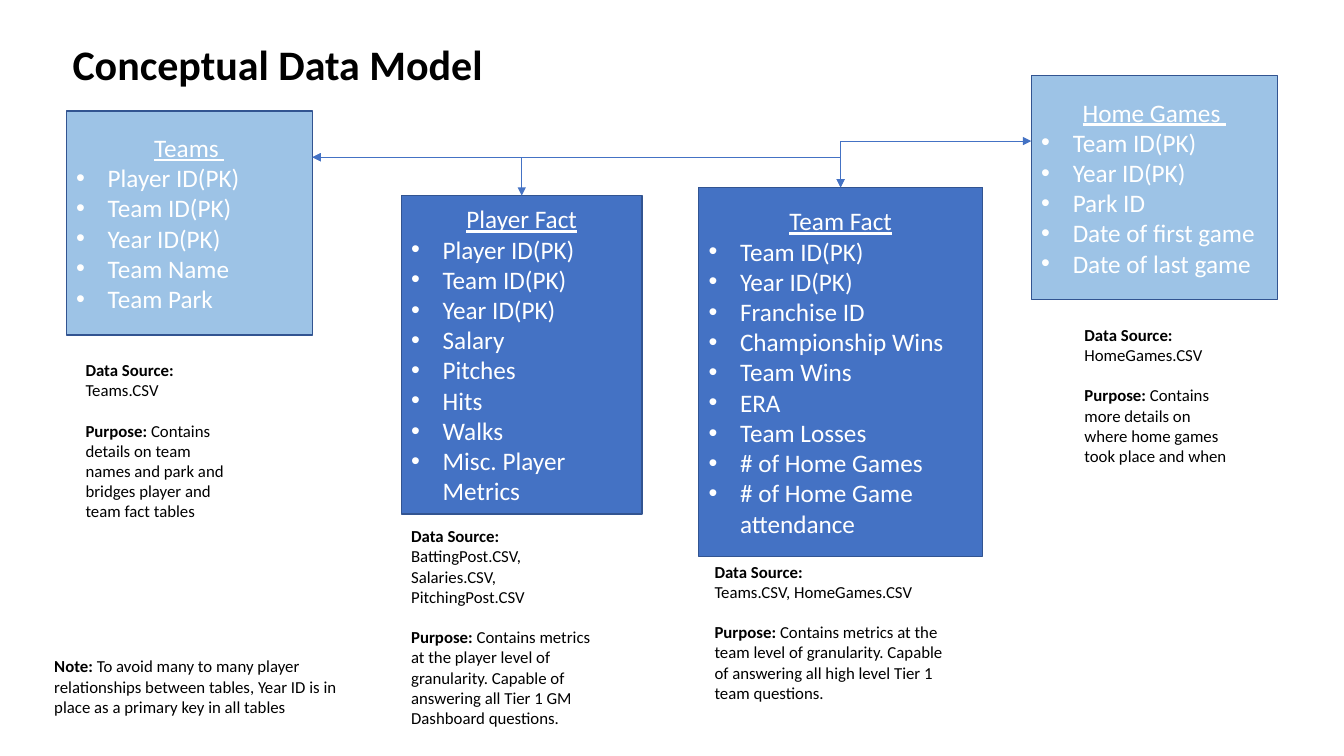
import pptx
import pptx.util
import pptx.dml.color
import pptx.enum.shapes
import pptx.enum.text
import pptx.oxml
import pptx.oxml.ns

Pt = pptx.util.Pt
RGBColor = pptx.dml.color.RGBColor
ALIGN = pptx.enum.text.PP_ALIGN
ANCHOR = pptx.enum.text.MSO_ANCHOR
SHAPE = pptx.enum.shapes.MSO_SHAPE
ELBOW = pptx.enum.shapes.MSO_CONNECTOR.ELBOW

FACT_BLUE = RGBColor(0x44, 0x72, 0xC4)
DIMENSION_BLUE = RGBColor(0x9D, 0xC3, 0xE6)
OUTLINE_BLUE = RGBColor(0x32, 0x54, 0x91)
WHITE = RGBColor(0xFF, 0xFF, 0xFF)
BLACK = RGBColor(0, 0, 0)
INDENT = Pt(22.5)


def add_run(paragraph, text, color, **formats):
    """Append a Calibri run with the given colour and font settings."""
    run = paragraph.add_run()
    run.text = text
    run.font.color.rgb = color
    for name, value in {"name": "Calibri", **formats}.items():
        setattr(run.font, name, value)


def add_xml(parent, tag, **attributes):
    """Append a DrawingML element to the parent."""
    element = pptx.oxml.parse_xml(f"<a:{tag} {pptx.oxml.ns.nsdecls('a')}/>")
    for name, value in attributes.items():
        element.set(name, value)
    parent.append(element)


presentation = pptx.Presentation()
presentation.slide_width = Pt(960)
presentation.slide_height = Pt(540)
slide = presentation.slides.add_slide(presentation.slide_layouts[5])

# Title
title = slide.shapes.title
title_place = {"left": 44.6, "top": 8.6, "width": 828, "height": 78.5}
for name, value in title_place.items():
    setattr(title, name, Pt(value))
title.text_frame.vertical_anchor = ANCHOR.MIDDLE
title_paragraph = title.text_frame.paragraphs[0]
title_paragraph.alignment = ALIGN.LEFT
title_paragraph.line_spacing = 0.9
add_run(title_paragraph, "Conceptual Data Model", BLACK, size=Pt(30), bold=True)

# Entity boxes: name, fill, (left, top, width, height), fields
entities = [
    ("Player Fact", FACT_BLUE, (286.6, 139.7, 172.1, 227.5),
     ["Player ID(PK)", "Team ID(PK)", "Year ID(PK)", "Salary", "Pitches",
      "Hits", "Walks", "Misc. Player Metrics"]),
    ("Team Fact", FACT_BLUE, (499, 133.9, 203, 263.5),
     ["Team ID(PK)", "Year ID(PK)", "Franchise ID", "Championship Wins",
      "Team Wins", "ERA", "Team Losses", "# of Home Games",
      "# of Home Game attendance"]),
    ("Teams ", DIMENSION_BLUE, (47.4, 79.2, 175.8, 160),
     ["Player ID(PK)", "Team ID(PK)", "Year ID(PK)", "Team Name", "Team Park"]),
    ("Home Games ", DIMENSION_BLUE, (736.7, 54, 175.8, 160),
     ["Team ID(PK)", "Year ID(PK)", "Park ID", "Date of first game",
      "Date of last game"]),
]
for entity, fill, place, fields in entities:
    box = slide.shapes.add_shape(SHAPE.FLOWCHART_PROCESS, *map(Pt, place))
    box.shadow.inherit = False
    box.fill.solid()
    box.fill.fore_color.rgb = fill
    box.line.color.rgb = OUTLINE_BLUE
    box.line.width = Pt(1)
    frame = box.text_frame
    frame.word_wrap = True
    frame.vertical_anchor = ANCHOR.MIDDLE
    heading = frame.paragraphs[0]
    heading.alignment = ALIGN.CENTER
    add_run(heading, entity, WHITE, size=Pt(18), underline=True)
    for field in fields:
        paragraph = frame.add_paragraph()
        paragraph.alignment = ALIGN.LEFT
        add_run(paragraph, field, WHITE, size=Pt(18))
        properties = paragraph._p.get_or_add_pPr()
        properties.set("marL", str(INDENT))
        properties.set("indent", str(-INDENT))
        add_xml(properties, "buFont", typeface="Arial")
        add_xml(properties, "buChar", char="•")

# Relationships: each runs sideways from a dimension, then down to a fact
relationships = [
    (223.2, 112.3, 372.7, 139.7),
    (223.2, 112.3, 600.5, 133.9),
    (736.7, 100.8, 600.5, 133.9),
]
for ends in relationships:
    connector = slide.shapes.add_connector(ELBOW, *map(Pt, ends))
    connector.line.color.rgb = FACT_BLUE
    connector.line.width = Pt(0.5)
    properties = connector._element.spPr
    properties.find(pptx.oxml.ns.qn("a:prstGeom")).set("prst", "bentConnector2")
    for end in ("headEnd", "tailEnd"):
        add_xml(connector.line._get_or_add_ln(), end, type="triangle")
    add_xml(properties, "effectLst")

# Notes: place, then paragraphs of (bold label, plain text)
SOURCE, PURPOSE = "Data Source:", "Purpose: "
notes = [
    ((767.5, 228.2, 121.7, 123.8),
     [(SOURCE, ""), ("", "HomeGames.CSV"),
      (PURPOSE, "Contains more details on where home games took place and when")]),
    ((54, 253.4, 121.7, 138.2),
     [(SOURCE, ""), ("", "Teams.CSV"),
      (PURPOSE, "Contains details on team names and park and bridges player "
                "and team fact tables")]),
    ((286.6, 372.2, 146.9, 167),
     [(SOURCE, ""), ("", "BattingPost.CSV, Salaries.CSV, PitchingPost.CSV"),
      (PURPOSE, "Contains metrics at the player level of granularity. Capable "
                "of answering all Tier 1 GM Dashboard questions.")]),
    ((503.3, 397.4, 188.6, 123.8),
     [(SOURCE, ""), ("", "Teams.CSV, HomeGames.CSV"),
      (PURPOSE, "Contains metrics at the team level of granularity. Capable "
                "of answering all high level Tier 1 team questions.")]),
    ((31.7, 465.1, 230.4, 51.1),
     [("Note:", " To avoid many to many player relationships between tables, "
                "Year ID is in place as a primary key in all tables")]),
]
for place, lines in notes:
    frame = slide.shapes.add_textbox(*map(Pt, place)).text_frame
    frame.word_wrap = True
    for index, (label, text) in enumerate(lines):
        paragraph = frame.add_paragraph() if index else frame.paragraphs[0]
        if label == PURPOSE:
            paragraph.space_before = Pt(14.5)
        for words, bold in ((label, True), (text, False)):
            if words:
                add_run(paragraph, words, BLACK, size=Pt(12), bold=bold)

presentation.save("out.pptx")
